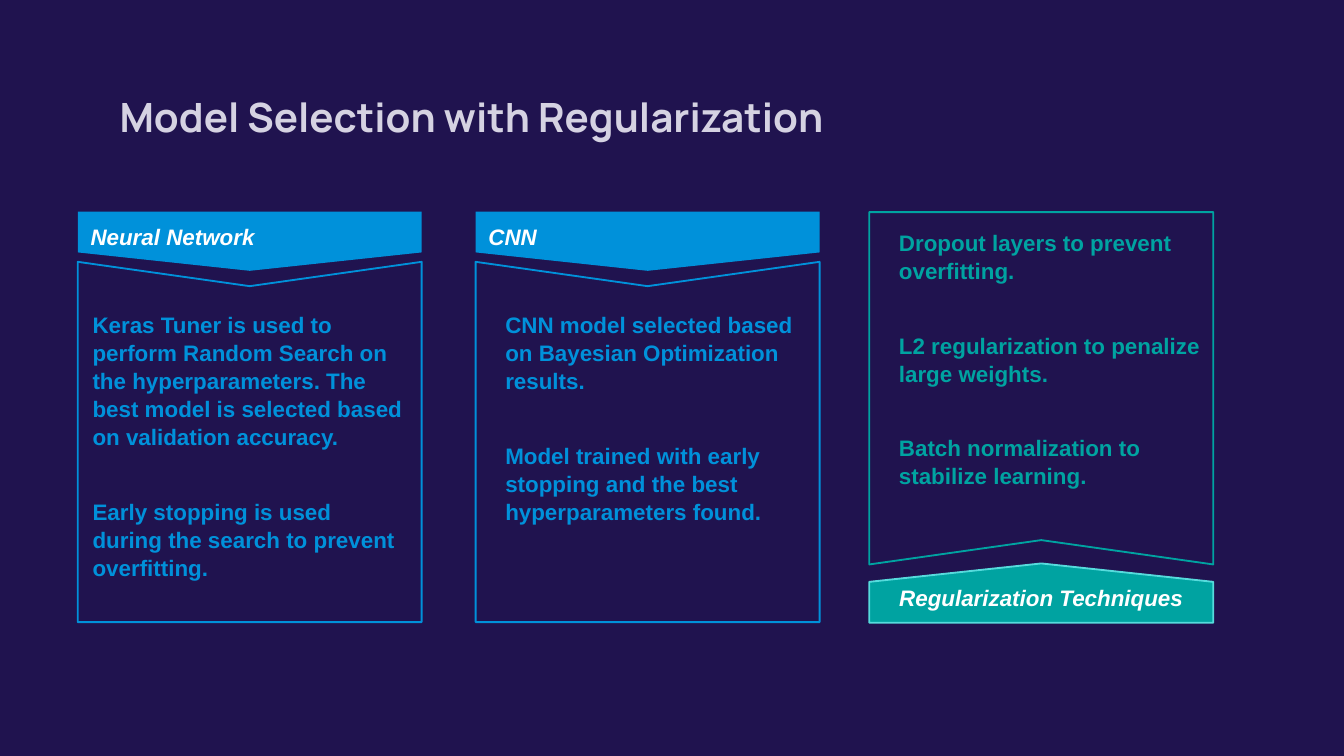
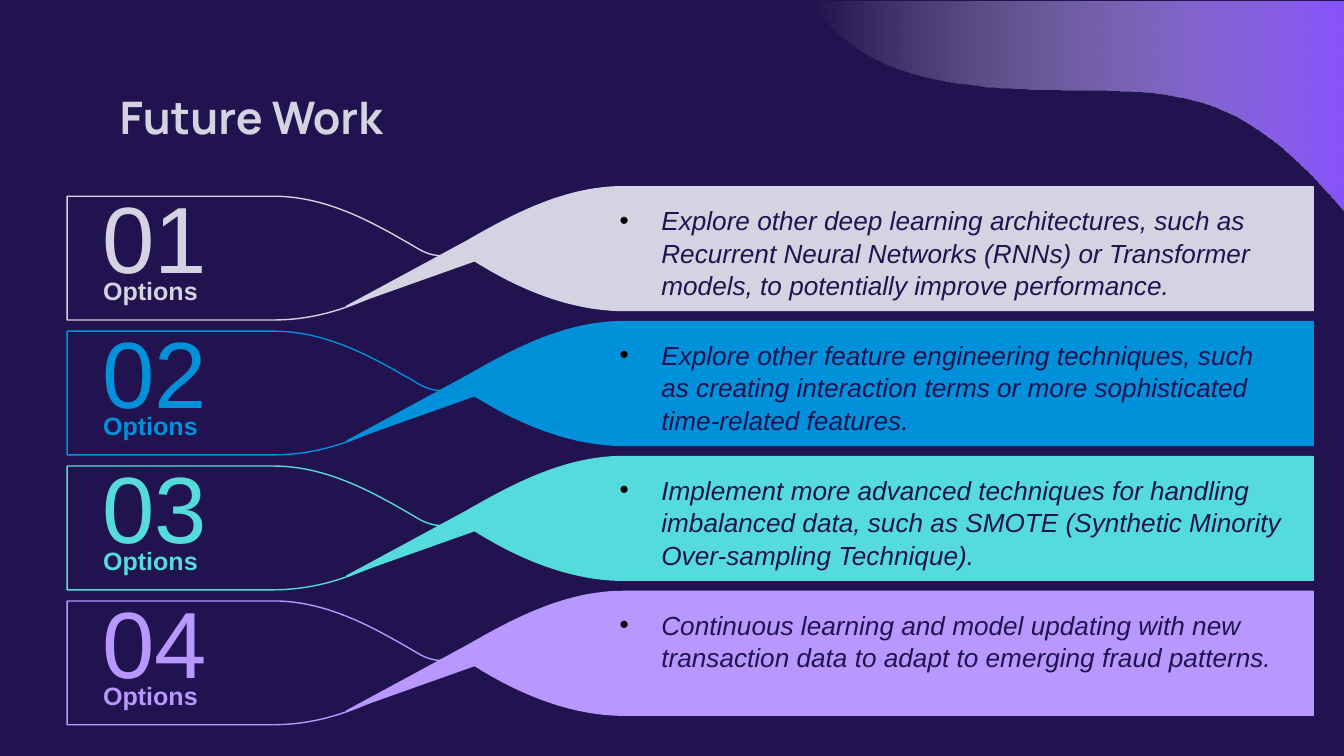
from dataclasses import dataclass

from lxml import etree
from pptx import Presentation
from pptx.dml.color import RGBColor
from pptx.enum.shapes import MSO_SHAPE
from pptx.enum.text import MSO_ANCHOR, PP_ALIGN
from pptx.oxml.ns import qn
from pptx.util import Cm, Pt

PENTAGON = MSO_SHAPE.PENTAGON
TOP, MIDDLE = MSO_ANCHOR.TOP, MSO_ANCHOR.MIDDLE
LEFT, CENTER = PP_ALIGN.LEFT, PP_ALIGN.CENTER


@dataclass(frozen=True)
class Theme:
    night: RGBColor = RGBColor.from_string("20134F")
    mist: RGBColor = RGBColor.from_string("D5D2E2")
    blue: RGBColor = RGBColor.from_string("0091DA")
    teal: RGBColor = RGBColor.from_string("00A3A1")
    aqua: RGBColor = RGBColor.from_string("56DBDC")
    lilac: RGBColor = RGBColor.from_string("B898FE")
    violet: RGBColor = RGBColor.from_string("8854FD")
    white: RGBColor = RGBColor.from_string("FFFFFF")
    title_font: str = "Manrope"
    body_font: str = "Arial"
    card_size: float = 12
    option_size: float = 13.4
    bullet_size: float = 14
    number_size: float = 50.4


THEME = Theme()


def write(frame, texts, size, color, bold=False, italic=False, font=THEME.body_font,
          align=LEFT, anchor=TOP, margins=(0.25, 0.13), gap=0, spacing=None):
    """Fill a text frame with paragraphs that share one style."""
    frame.word_wrap = True
    frame.vertical_anchor = anchor
    frame.margin_left = frame.margin_right = Cm(margins[0])
    frame.margin_top = frame.margin_bottom = Cm(margins[1])
    for index, text in enumerate(texts):
        paragraph = frame.add_paragraph() if index else frame.paragraphs[0]
        paragraph.text = text
        paragraph.alignment = align
        paragraph.space_after = Pt(gap)
        paragraph.line_spacing = spacing
        paragraph.font.name = font
        paragraph.font.size = Pt(size)
        paragraph.font.bold = bold
        paragraph.font.italic = italic
        paragraph.font.color.rgb = color


def draw_outline(slide, start, segments, top=0, fill=None, line=None, width=0.75):
    """Draw a closed outline: pairs are corners, sixes are cubic curves."""
    points = [start]
    for segment in segments:
        if len(segment) == 2:
            points.append(segment)
            continue
        x0, y0 = points[-1]
        x1, y1, x2, y2, x3, y3 = segment
        for step in range(1, 25):
            t = step / 24
            a, b, c, d = (1 - t) ** 3, 3 * t * (1 - t) ** 2, 3 * t * t * (1 - t), t ** 3
            points.append((a * x0 + b * x1 + c * x2 + d * x3,
                           a * y0 + b * y1 + c * y2 + d * y3))
    corners = [(Cm(x), Cm(y + top)) for x, y in points]
    builder = slide.shapes.build_freeform(*corners[0])
    builder.add_line_segments(corners[1:], close=True)
    outline = builder.convert_to_shape()
    outline.shadow.inherit = False
    if fill is None:
        outline.fill.background()
    else:
        outline.fill.solid()
        outline.fill.fore_color.rgb = fill
    if line is None:
        outline.line.fill.background()
    else:
        outline.line.color.rgb = line
        outline.line.width = Pt(width)
    return outline


prs = Presentation()
prs.slide_width, prs.slide_height = Cm(25.4), Cm(14.29)

# Shared background and titles
slides = []
for title, title_size in (("Model Selection with Regularization", 21.6), ("Future Work", 24)):
    slide = prs.slides.add_slide(prs.slide_layouts[6])
    slide.background.fill.solid()
    slide.background.fill.fore_color.rgb = THEME.night
    title_box = slide.shapes.add_textbox(Cm(2.01), Cm(1.5), Cm(21.39), Cm(1.4))
    write(title_box.text_frame, [title], title_size, THEME.mist, bold=True,
          font=THEME.title_font, anchor=MIDDLE, margins=(0.25, 0.25))
    slides.append(slide)
models, future = slides

# Model cards: heading, left, text left, text top, colour, band edge, band below, texts
CARD_WIDTH, BAND_HEIGHT = 6.5, 1.12
cards = [
    ("Neural Network", 1.47, 1.75, 5.87, THEME.blue, None, False,
     ["Keras Tuner is used to perform Random Search on the hyperparameters. "
      "The best model is selected based on validation accuracy.",
      "Early stopping is used during the search to prevent overfitting."]),
    ("CNN", 8.99, 9.55, 5.87, THEME.blue, None, False,
     ["CNN model selected based on Bayesian Optimization results.",
      "Model trained with early stopping and the best hyperparameters found."]),
    ("Regularization Techniques", 16.43, 16.99, 4.32, THEME.teal, THEME.aqua, True,
     ["Dropout layers to prevent overfitting.",
      "L2 regularization to penalize large weights.",
      "Batch normalization to stabilize learning."]),
]
for heading, left, text_left, text_top, color, edge, band_below, texts in cards:
    notched, notch, flat = (10.67, 10.21, 4.01) if band_below else (4.95, 5.41, 11.76)
    band_top = 10.65 if band_below else 4.0
    right = left + CARD_WIDTH

    # Band pointing towards the panel, with its text turned back to level
    band = models.shapes.add_shape(
        PENTAGON,
        Cm(left + (CARD_WIDTH - BAND_HEIGHT) / 2), Cm(band_top + (BAND_HEIGHT - CARD_WIDTH) / 2),
        Cm(BAND_HEIGHT), Cm(CARD_WIDTH))
    band.adjustments[0] = 0.31
    band.rotation = 270 if band_below else 90
    band.shadow.inherit = False
    band.fill.solid()
    band.fill.fore_color.rgb = color
    if edge is None:
        band.line.fill.background()
    else:
        band.line.color.rgb = edge
        band.line.width = Pt(1)
    write(band.text_frame, [heading], THEME.card_size, THEME.white, bold=True, italic=True,
          align=CENTER if band_below else LEFT, anchor=MIDDLE, margins=(0, 0.24))
    band.text_frame._txBody.bodyPr.set("vert", "vert" if band_below else "vert270")

    # Notched panel and its text
    draw_outline(models, (left, notched),
                 [(left + CARD_WIDTH / 2, notch), (right, notched), (right, flat), (left, flat)],
                 line=color, width=1)
    body = models.shapes.add_textbox(Cm(text_left), Cm(text_top), Cm(5.94), Cm(2.01))
    write(body.text_frame, texts, THEME.card_size, color, bold=True,
          margins=(0, 0), gap=25, spacing=1.04)

# Corner wave fading out to the left
wave = draw_outline(future, (25.4, 3.99),
                    [(23.62, 1.9, 22.61, 1.7, 20.37, 1.7),
                     (17.78, 1.7, 16.26, 1.42, 15.34, 0.03), (25.4, 0.03)])
wave.fill.gradient()
wave.fill.gradient_angle = 0
clear_stop, violet_stop = wave.fill.gradient_stops
clear_stop.position, violet_stop.position = 0, 1
clear_stop.color.rgb, violet_stop.color.rgb = THEME.white, THEME.violet
clear_color = next(wave._element.iter(qn("a:gs")))[0]
etree.SubElement(clear_color, qn("a:alpha")).set("val", "0")

# Option rows
ROW_TOP, ROW_PITCH = 3.71, 2.55
tag_segments = [(6.22, 0, 7.11, 0.53, 7.95, 1.02), (8.33, 1.22, 8.69, 1.12, 9.09, 0.84),
                (7.87, 1.47), (7.06, 1.91, 6.25, 2.34, 5.16, 2.34), (1.27, 2.34), (1.27, 0)]
ribbon_segments = [(10.67, -0.18, 9.68, 0.36, 8.84, 0.84), (7.9, 1.35), (6.55, 2.08),
                   (8.97, 1.22), (9.78, 1.73, 10.77, 2.16, 11.79, 2.16),
                   (24.82, 2.16), (24.82, -0.18)]
options = [
    (THEME.mist, "Explore other deep learning architectures, such as Recurrent Neural Networks "
                 "(RNNs) or Transformer models, to potentially improve performance."),
    (THEME.blue, "Explore other feature engineering techniques, such as creating interaction "
                 "terms or more sophisticated time-related features."),
    (THEME.aqua, "Implement more advanced techniques for handling imbalanced data, such as SMOTE "
                 "(Synthetic Minority Over-sampling Technique)."),
    (THEME.lilac, "Continuous learning and model updating with new transaction data to adapt to "
                  "emerging fraud patterns."),
]
for row, (color, idea) in enumerate(options):
    top = ROW_TOP + row * ROW_PITCH
    draw_outline(future, (5.16, 0), tag_segments, top, fill=THEME.night, line=color)
    draw_outline(future, (11.79, -0.18), ribbon_segments, top, fill=color, line=color)

    idea_box = future.shapes.add_textbox(Cm(11.46), Cm(top), Cm(13.11), Cm(2.06))
    write(idea_box.text_frame, [idea], THEME.bullet_size, THEME.night, italic=True,
          gap=5, spacing=1.04)
    properties = idea_box.text_frame.paragraphs[0]._p.pPr
    properties.set("marL", str(Cm(0.79)))
    properties.set("indent", str(-Cm(0.79)))
    font_defaults = properties.find(qn("a:defRPr"))
    bullet_color = etree.Element(qn("a:buClr"))
    etree.SubElement(bullet_color, qn("a:srgbClr")).set("val", "000000")
    bullet_font = etree.Element(qn("a:buFont"), typeface=THEME.body_font)
    bullet_mark = etree.Element(qn("a:buChar"), char="•")
    for part in (bullet_color, bullet_font, bullet_mark):
        font_defaults.addprevious(part)

    option_box = future.shapes.add_textbox(Cm(1.7), Cm(top + 1.37), Cm(4.47), Cm(0.76))
    write(option_box.text_frame, ["Options"], THEME.option_size, color, bold=True)
    number_box = future.shapes.add_textbox(Cm(1.68), Cm(top - 0.45), Cm(4.47), Cm(2.18))
    write(number_box.text_frame, [f"{row + 1:02d}"], THEME.number_size, color)

prs.save("out.pptx")
